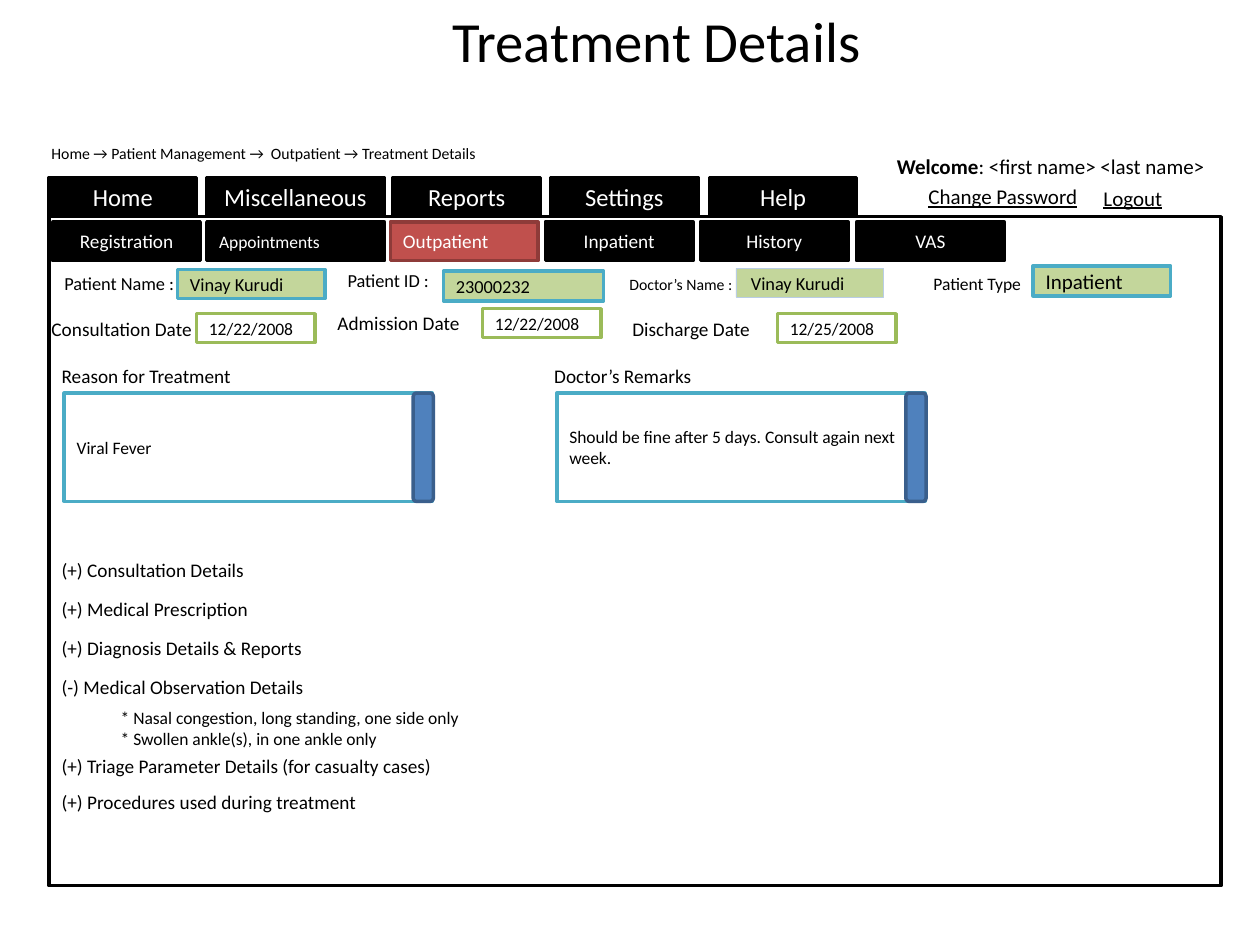
"""Build the treatment details screen of a hospital system."""
from pptx import Presentation
from pptx.dml.color import RGBColor
from pptx.enum.shapes import MSO_SHAPE
from pptx.enum.text import MSO_ANCHOR, MSO_AUTO_SIZE, PP_ALIGN
from pptx.util import Inches, Pt

RECT, ROUND = MSO_SHAPE.RECTANGLE, MSO_SHAPE.ROUNDED_RECTANGLE
LEFT, MID, RIGHT = PP_ALIGN.LEFT, PP_ALIGN.CENTER, PP_ALIGN.RIGHT
CENTER, GROW = MSO_ANCHOR.MIDDLE, MSO_AUTO_SIZE.SHAPE_TO_FIT_TEXT
COLORS = {
    "black": "000000", "white": "FFFFFF", "red": "C0504D", "maroon": "8E3B39",
    "sage": "C3D69B", "pale": "B9CDE5", "teal": "4BACC6", "green": "9BBB59",
    "blue": "4F81BD", "navy": "3A5F8C",
}

deck = Presentation()
deck.slide_width, deck.slide_height = Inches(10), Inches(7.5)
slide = deck.slides.add_slide(deck.slide_layouts[6])
shapes = slide.shapes


def write(frame, text, size, color="black", align=LEFT, bold=False, under=False):
    para = frame.paragraphs[0]
    para.alignment = align
    run = para.add_run()
    run.text = text
    font = run.font
    font.name, font.size = "Calibri", Pt(size)
    font.bold, font.underline = bold, under
    font.color.rgb = RGBColor.from_string(COLORS[color])


def box(x, y, w, h, fill, line, width=2, kind=RECT):
    shape = shapes.add_shape(kind, Inches(x), Inches(y), Inches(w), Inches(h))
    shape.shadow.inherit = False
    shape.fill.solid()
    shape.fill.fore_color.rgb = RGBColor.from_string(COLORS[fill])
    shape.line.color.rgb = RGBColor.from_string(COLORS[line])
    shape.line.width = Pt(width)
    frame = shape.text_frame
    frame.word_wrap = True
    frame.vertical_anchor = CENTER
    return frame


title = shapes.add_textbox(Inches(1.67), Inches(0.08), Inches(7.08), Inches(0.47)).text_frame
title.word_wrap = True
title.vertical_anchor = CENTER
write(title, "Treatment Details", 32.4, align=MID)

box(0.39, 1.72, 9.3, 5.31, "white", "black")

menu = [
    (0.39, 1.17, "Home"), (1.64, 1.41, "Miscellaneous"), (3.12, 1.17, "Reports"),
    (4.37, 1.17, "Settings"), (5.63, 1.17, "Help"),
]
for x, w, text in menu:
    write(box(x, 1.41, w, 0.31, "black", "black"), text, 14, "white", MID)

tabs = [
    (0.42, 1.17, "Registration", 11, MID, "black", "black"),
    (1.64, 1.41, "Appointments", 10, LEFT, "black", "black"),
    (3.1, 1.17, "Outpatient", 11, LEFT, "red", "maroon"),
    (4.33, 1.17, "Inpatient", 11, MID, "black", "black"),
    (5.56, 1.17, "History", 11, MID, "black", "black"),
    (6.8, 1.17, "VAS", 11, MID, "black", "black"),
]
for x, w, text, size, align, fill, line in tabs:
    write(box(x, 1.76, w, 0.31, fill, line), text, size, "white", align)

fields = [
    (1.41, 2.14, 1.17, 0.23, "Vinay Kurudi", 10.5, "sage", "teal"),
    (3.52, 2.15, 1.27, 0.24, "23000232", 10.5, "sage", "teal"),
    (8.2, 2.11, 1.09, 0.24, "Inpatient", 12, "sage", "teal"),
    (1.56, 2.49, 0.94, 0.23, "12/22/2008", 10, "white", "green"),
    (3.83, 2.45, 0.94, 0.23, "12/22/2008", 10, "white", "green"),
    (6.17, 2.49, 0.94, 0.23, "12/25/2008", 10, "white", "green"),
]
for x, y, w, h, text, size, fill, line in fields:
    write(box(x, y, w, h, fill, line), text, size)

doctor = box(5.84, 2.13, 1.17, 0.23, "sage", "pale", 0.25)
doctor.margin_left = Inches(0.12)
write(doctor, "Vinay Kurudi", 10.5)

notes = [
    (0.51, "Viral Fever"),
    (4.42, "Should be fine after 5 days. Consult again next week."),
]
for x, text in notes:
    write(box(x, 3.12, 2.92, 0.86, "white", "teal"), text, 10)
    box(x + 2.77, 3.12, 0.16, 0.86, "blue", "navy", kind=ROUND)

labels = [
    (0.31, 1.09, 4.14, "Home → Patient Management →  Outpatient → Treatment Details", 9, LEFT),
    (0.39, 2.11, 1.09, "Patient Name :", 10.5, RIGHT),
    (2.66, 2.09, 1.02, "Patient ID :", 10.5, LEFT),
    (4.43, 2.13, 1.48, "Doctor’s Name :", 9, RIGHT),
    (7.11, 2.12, 1.09, "Patient Type", 10, RIGHT),
    (0.31, 2.47, 1.72, "Consultation Date", 11, LEFT),
    (2.58, 2.42, 1.72, "Admission Date", 11, LEFT),
    (4.92, 2.47, 1.17, "Discharge Date", 11, LEFT),
    (0.39, 2.84, 1.72, "Reason for Treatment", 11, LEFT),
    (4.3, 2.84, 1.72, "Doctor’s Remarks", 11, LEFT),
    (0.39, 4.38, 4.3, "(+) Consultation Details", 11, LEFT),
    (0.39, 4.69, 4.3, "(+) Medical Prescription", 11, LEFT),
    (0.39, 5, 4.3, "(+) Diagnosis Details & Reports", 11, LEFT),
    (0.39, 5.31, 4.3, "(-) Medical Observation Details", 11, LEFT),
    (0.86, 5.56, 5.08, "* Nasal congestion, long standing, one side only", 10, LEFT),
    (0.86, 5.73, 5.08, "* Swollen ankle(s), in one ankle only", 10, LEFT),
    (0.39, 5.94, 4.3, "(+) Triage Parameter Details (for casualty cases)", 11, LEFT),
    (0.39, 6.22, 4.3, "(+) Procedures used during treatment", 11, LEFT),
]
for x, y, w, text, size, align in labels:
    high = {9: 0.25, 10: 0.27}.get(size, 0.29)
    frame = shapes.add_textbox(Inches(x), Inches(y), Inches(w), Inches(high)).text_frame
    frame.word_wrap = True
    frame.auto_size = GROW
    write(frame, text, size, align=align)

links = [
    (7.02, 1.17, 2.67, [("Welcome", True, False), (": <first name> <last name>", False, False)]),
    (7.27, 1.41, 1.4, [("Change Password", False, True)]),
    (8.66, 1.42, 0.67, [("Logout", False, True)]),
]
for x, y, w, runs in links:
    frame = shapes.add_textbox(Inches(x), Inches(y), Inches(w), Inches(0.3)).text_frame
    frame.word_wrap = False
    frame.auto_size = GROW
    for text, bold, under in runs:
        write(frame, text, 12, bold=bold, under=under)

deck.save("out.pptx")
